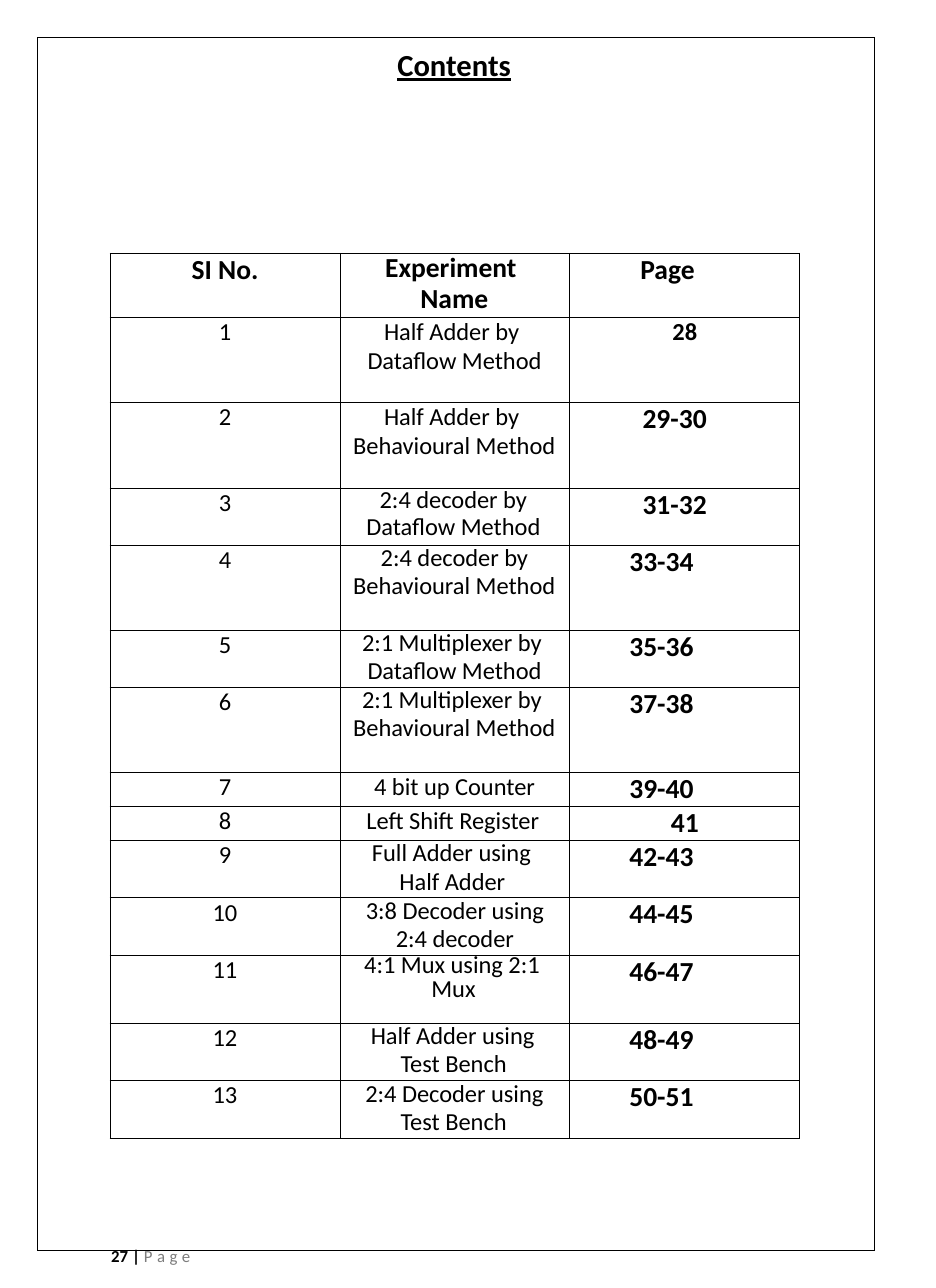
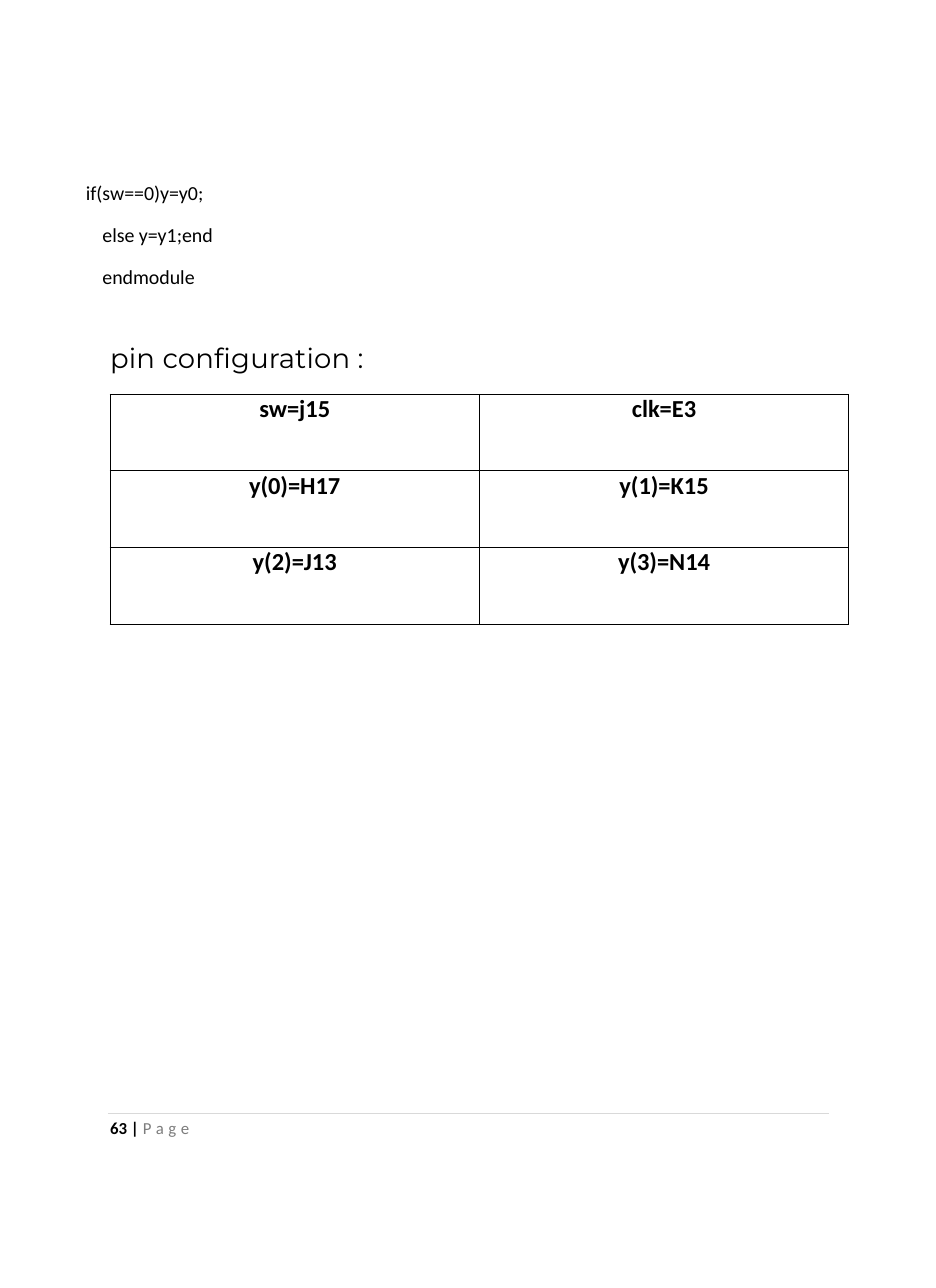
from dataclasses import dataclass
from typing import Optional

from lxml.etree import SubElement
from pptx import Presentation
from pptx.dml.color import RGBColor
from pptx.enum.shapes import MSO_CONNECTOR as Connector
from pptx.enum.text import MSO_ANCHOR as Anchor, MSO_AUTO_SIZE as AutoSize, PP_ALIGN as Align
from pptx.oxml import parse_xml
from pptx.oxml.ns import nsdecls, qn
from pptx.util import Emu, Inches, Pt

WIDTH, HEIGHT = Inches(8.5), Inches(11.7)
BLACK, GREY, RULE = "000000", "7D7D7D", "D9D9D9"
BODY, HEADING = "Calibri", "Montserrat"
HAIRLINE = Pt(0.58)
MARGIN = 11.76
TITLE_ONLY = 5


@dataclass
class Entry:
    """Text of one table cell with its setting; indents are in inches."""
    text: str
    size: float = 16
    bold: bool = False
    align: Align = Align.CENTER
    left: float = 0
    first: float = 0
    leading: Optional[float] = None


def experiment(name, left, first, leading=None):
    """Return an experiment name set with its own indents."""
    return Entry(name, align=Align.LEFT, left=left, first=first, leading=leading)


def pages(text, left=0.54):
    """Return a bold page range, indented from the left."""
    return Entry(text, 18, True, Align.LEFT, left)


LEADING = Pt(18.4)
HEADER = [
    Entry("SI No.", 18, True),
    Entry("Experiment Name", 18, True, Align.LEFT, 0.73, -0.32, Pt(20.6)),
    pages("Page", 0.64),
]
EXPERIMENTS = [
    (0.77, experiment("Half Adder by Dataflow Method", 0.25, 0.15, 0.97), Entry("28", bold=True)),
    (0.78, experiment("Half Adder by Behavioural Method", 0.12, 0.28, 0.97), pages("29-30", 0.66)),
    (0.52, experiment("2:4 decoder by Dataflow Method", 0.24, 0.12, Pt(17.6)), pages("31-32", 0.66)),
    (0.77, experiment("2:4 decoder by Behavioural Method", 0.12, 0.25, LEADING), pages("33-34")),
    (0.52, experiment("2:1 Multiplexer by Dataflow Method", 0.25, -0.05, LEADING), pages("35-36")),
    (0.77, experiment("2:1 Multiplexer by Behavioural Method", 0.12, 0.08, LEADING), pages("37-38")),
    (0.31, experiment("4 bit up Counter", 0.31, 0), pages("39-40")),
    (0.31, experiment("Left Shift Register", 0.24, 0), Entry("41", 18, True)),
    (0.52, experiment("Full Adder using Half Adder", 0.54, -0.25, LEADING), pages("42-43")),
    (0.52, Entry("3:8 Decoder using\n2:4 decoder", leading=LEADING), pages("44-45")),
    (0.62, experiment("4:1 Mux using 2:1 Mux", 0.83, -0.61, Pt(16.1)), pages("46-47")),
    (0.52, experiment("Half Adder using Test Bench", 0.55, -0.27, LEADING), pages("48-49")),
    (0.52, experiment("2:4 Decoder using Test Bench", 0.55, -0.32, LEADING), pages("50-51")),
]
PINS = [("sw=j15", "clk=E3"), ("y(0)=H17", "y(1)=K15"), ("y(2)=J13", "y(3)=N14")]
CODE = ["if(sw==0)y=y0;", "else y=y1;end", "endmodule"]


def box(left, top, width, height):
    """Turn percentages of the slide into lengths."""
    return tuple(Emu(int(side * share / 100)) for side, share in
                 ((WIDTH, left), (HEIGHT, top), (WIDTH, width), (HEIGHT, height)))


def colour(hex_code):
    """Return the colour of a hex string."""
    return RGBColor.from_string(hex_code)


def style(run, size, bold=False, hex_code=BLACK, face=BODY, spacing=0):
    """Format a run; letter spacing is in hundredths of a point."""
    font = run.font
    font.name, font.size, font.bold = face, Pt(size), bold
    font.color.rgb = colour(hex_code)
    if spacing:
        run._r.get_or_add_rPr().set("spc", str(spacing))


def indent(paragraph, left, first=0):
    """Set the left and first-line indents in inches."""
    properties = paragraph._p.get_or_add_pPr()
    properties.set("marL", str(Inches(left)))
    properties.set("indent", str(Inches(first)))


def prepare(frame):
    """Clear the insets of a text frame and let it wrap from the top."""
    frame.margin_left = frame.margin_top = frame.margin_right = frame.margin_bottom = 0
    frame.word_wrap, frame.auto_size = True, AutoSize.NONE
    frame.vertical_anchor = Anchor.TOP
    return frame


def add_title(slide, text, area, size, **look):
    """Move and format the title placeholder."""
    title = slide.shapes.title
    title.left, title.top, title.width, title.height = area
    frame = prepare(title.text_frame)
    frame.text = text
    heading = frame.paragraphs[0]
    heading.alignment, heading.line_spacing = Align.LEFT, 1.0
    style(heading.runs[0], size, **look)
    return heading.runs[0].font


def add_footer(slide, number, left, top):
    """Write the page number line."""
    frame = prepare(slide.shapes.add_textbox(*box(left, top, 11, 1.62)).text_frame)
    line = frame.paragraphs[0]
    for text, bold, hex_code, spacing in ((f"{number} | ", True, BLACK, 0),
                                          ("P a g e", False, GREY, 20)):
        run = line.add_run()
        run.text = text
        style(run, 11, bold, hex_code, spacing=spacing)


def fill_cell(cell, entry):
    """Write one cell with black hairlines on all sides."""
    cell.margin_left = cell.margin_top = cell.margin_right = cell.margin_bottom = 0
    cell.fill.background()
    properties = cell._tc.get_or_add_tcPr()
    for place, side in enumerate("LRTB"):
        properties.insert(place, parse_xml(
            f'<a:ln{side} {nsdecls("a")} w="{HAIRLINE}"><a:solidFill>'
            f'<a:srgbClr val="{BLACK}"/></a:solidFill></a:ln{side}>'))
    cell.text_frame.text = entry.text
    for paragraph in cell.text_frame.paragraphs:
        indent(paragraph, entry.left, entry.first)
        paragraph.alignment = entry.align
        if entry.leading:
            paragraph.line_spacing = entry.leading
        style(paragraph.runs[0], entry.size, entry.bold)


def add_grid(slide, rows, weights, area):
    """Draw a ruled table whose rows share the height by weight."""
    count = len(rows[0])
    table = slide.shapes.add_table(len(rows), count, *area).table
    table.first_row = table.horz_banding = False
    for column in table.columns:
        column.width = Emu(area[2] // count)
    for line, entries, weight in zip(table.rows, rows, weights):
        line.height = Emu(int(area[3] * weight / sum(weights)))
        for cell, entry in zip(line.cells, entries):
            fill_cell(cell, entry)


def add_rule(slide, area, hex_code=BLACK, weight=HAIRLINE):
    """Draw a straight line across an area without width or height."""
    left, top, width, height = area
    rule = slide.shapes.add_connector(Connector.STRAIGHT, left, top, left + width, top + height)
    rule.line.color.rgb, rule.line.width = colour(hex_code), weight
    SubElement(rule._element.spPr, qn("a:effectLst"))


def add_frame(slide, left, top, width, height):
    """Draw the thin page border from four lines."""
    for y in (top, top + height):
        add_rule(slide, box(left, y, width, 0))
    for x in (left, left + width):
        add_rule(slide, box(x, top, 0, height))


def add_code(slide, lines, area):
    """Write the code lines, all but the first indented."""
    frame = prepare(slide.shapes.add_textbox(*area).text_frame)
    frame.text = "\n".join(lines)
    for place, paragraph in enumerate(frame.paragraphs):
        indent(paragraph, 0.15 if place else 0)
        paragraph.line_spacing = Pt(27.4)
        style(paragraph.runs[0], 13)


def build_contents(slide):
    """Build the framed contents page."""
    add_title(slide, "Contents", box(42.45, 3.59, 13.5, 2.65), 20, bold=True).underline = True
    add_frame(slide, 4, 2.9, 89.41, 94.19)
    add_footer(slide, 27, 11.88, 96.75)
    rows = [HEADER] + [[Entry(str(number)), name, page]
                       for number, (_, name, page) in enumerate(EXPERIMENTS, 1)]
    weights = [0.58] + [height for height, _, _ in EXPERIMENTS]
    add_grid(slide, rows, weights, box(MARGIN, 19.66, 73.7, 68.7))


def build_pins(slide):
    """Build the page with the code ending and the pin table."""
    add_rule(slide, box(11.53, 86.45, 77, 0), RULE, Pt(0.6))
    add_code(slide, CODE, box(9.18, 12.65, 14.24, 9.8))
    add_footer(slide, 63, MARGIN, 86.75)
    add_title(slide, "pin configuration :", box(MARGIN, 26.5, 31, 2.39), 18,
              face=HEADING, spacing=10)
    rows = [[Entry(pin, bold=True) for pin in pair] for pair in PINS]
    add_grid(slide, rows, [1] * len(rows), box(MARGIN, 30.6, 78.92, 17.86))


def main():
    """Build both pages and save them."""
    deck = Presentation()
    deck.slide_width, deck.slide_height = WIDTH, HEIGHT
    for build in (build_contents, build_pins):
        build(deck.slides.add_slide(deck.slide_layouts[TITLE_ONLY]))
    deck.save("out.pptx")


if __name__ == "__main__":
    main()
